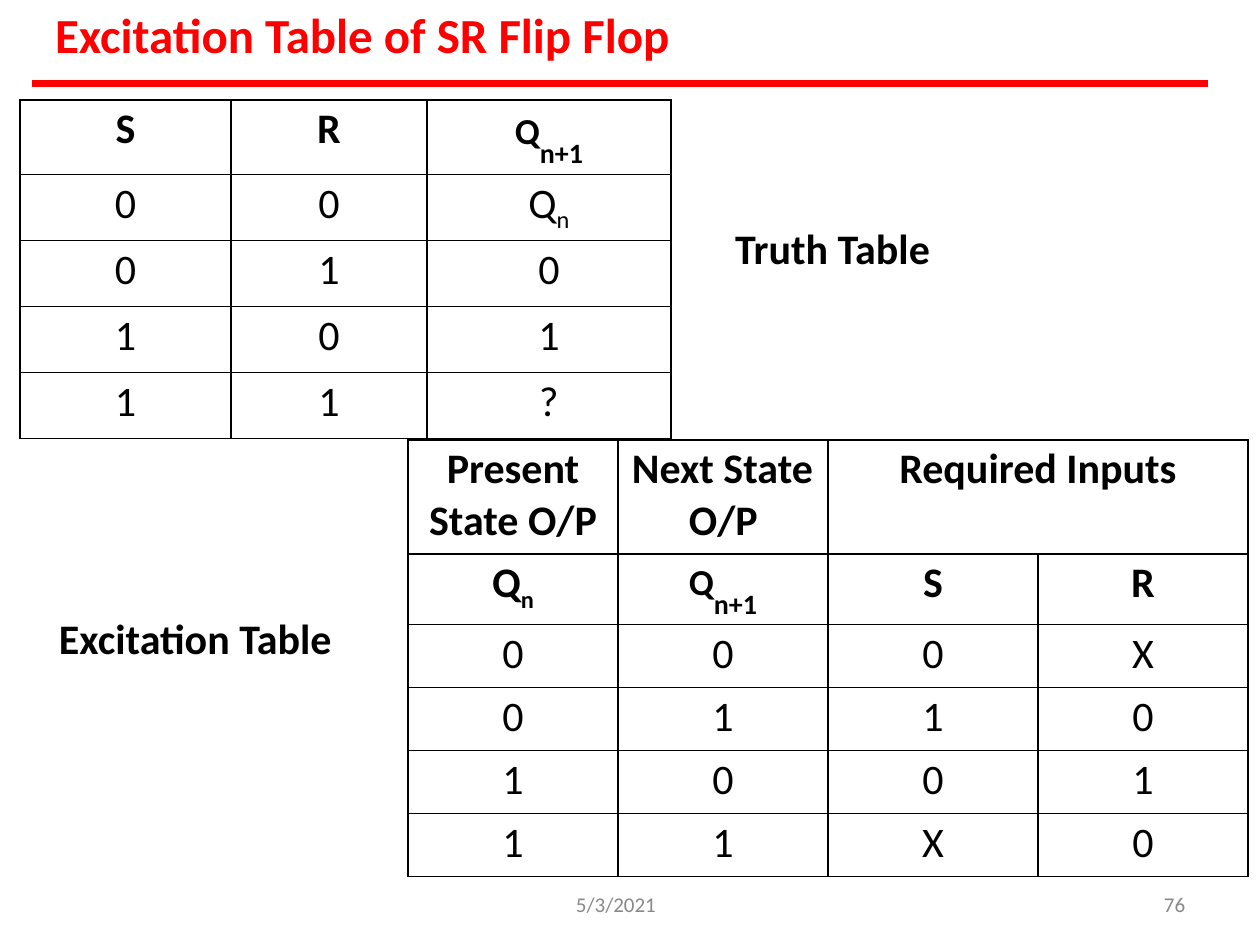
from dataclasses import dataclass

from lxml.etree import SubElement
from pptx import Presentation
from pptx.dml.color import RGBColor
from pptx.enum.shapes import MSO_CONNECTOR
from pptx.enum.text import PP_ALIGN
from pptx.oxml.ns import qn
from pptx.util import Emu, Pt


@dataclass(frozen=True)
class Theme:
    """Colours, font and type sizes of the slide."""
    font: str = "Calibri"
    accent: str = "FF0000"
    ink: str = "000000"
    muted: str = "888888"
    title: int = 28
    body: int = 24
    footer: int = 12
    raised: int = 36
    lowered: int = 16
    rule: int = 4
    border: int = 1


THEME = Theme()
PRESENT = (("Q", THEME.body, 0), ("n", THEME.body, -25))
NEXT = (("Q", THEME.raised, 30), ("n+1", THEME.lowered, 0))


def px(length):
    """Turn whole pixels into EMU."""
    return Emu(round(length * 914400 / 126))


def write(frame, content, size=THEME.body, color=THEME.ink, bold=False,
          align=PP_ALIGN.LEFT, spacing=None, margin=0, indent=0):
    """Write a string, or (text, size, baseline) spans, as one paragraph."""
    spans = ((content, size, 0),) if isinstance(content, str) else content
    frame.word_wrap = True
    para = frame.paragraphs[0]
    para.alignment = align
    if spacing:
        para.line_spacing = spacing
    if margin:
        properties = para._p.get_or_add_pPr()
        properties.set("marL", str(px(margin)))
        properties.set("indent", str(px(indent)))
    for text, points, baseline in spans:
        span = para.add_run()
        span.text = text
        span.font.name = THEME.font
        span.font.size = Pt(points)
        span.font.bold = bold
        span.font.color.rgb = RGBColor.from_string(color)
        if baseline:
            span.font._element.set("baseline", str(baseline * 1000))


def add_label(page, box, content, top=1, **style):
    """Place a text box with tight margins."""
    frame = page.shapes.add_textbox(*map(px, box)).text_frame
    frame.margin_left = frame.margin_right = frame.margin_bottom = 0
    frame.margin_top = px(top)
    write(frame, content, **style)


def add_heading(page, box, content):
    """Place the title and the rule beneath it."""
    left, top, width, height = box
    add_label(page, (left + 23, top, width - 46, 63), content,
              size=THEME.title, color=THEME.accent, bold=True)
    rule = page.shapes.add_connector(
        MSO_CONNECTOR.STRAIGHT, px(left), px(top + height),
        px(left + width), px(top + height))
    rule.line.color.rgb = RGBColor.from_string(THEME.accent)
    rule.line.width = Pt(THEME.rule)
    SubElement(rule._element.spPr, qn("a:effectLst"))


def outline(cell):
    """Give a cell no fill and a border on all sides."""
    properties = cell._tc.get_or_add_tcPr()
    for side in ("a:lnL", "a:lnR", "a:lnT", "a:lnB"):
        line = SubElement(properties, qn(side), w=str(Pt(THEME.border)))
        fill = SubElement(line, qn("a:solidFill"))
        SubElement(fill, qn("a:srgbClr"), val=THEME.ink)
    cell.fill.background()


def add_grid(page, left, top, columns, heights, rows, headers, styles):
    """Place a bordered table; styles holds extra formats by (row, column)."""
    table = page.shapes.add_table(
        len(rows), len(columns), px(left), px(top),
        px(sum(columns)), px(sum(heights))).table
    table.first_row = table.horz_banding = False
    for column, width in zip(table.columns, columns):
        column.width = px(width)
    for row, height in zip(table.rows, heights):
        row.height = px(height)
    for r, values in enumerate(rows):
        for c, content in enumerate(values):
            cell = table.cell(r, c)
            outline(cell)
            cell.margin_left = cell.margin_right = cell.margin_bottom = 0
            cell.margin_top = px(14 if content is NEXT else 4)
            if content:
                style = {"align": PP_ALIGN.CENTER, **styles.get((r, c), {})}
                write(cell.text_frame, content, bold=r < headers, **style)
    return table


def add_truth_table(page, left, top):
    """Place the truth table and its caption on the right."""
    rows = [("S", "R", NEXT), ("0", "0", PRESENT), *map(tuple, ("010", "101", "11?"))]
    add_grid(page, left, top, (211, 196, 244), (74, 66, 66, 66, 66), rows,
             headers=1, styles={(0, 2): {"spacing": 0.8}})
    add_label(page, (left + 715, top + 122, 210, 54), "Truth Table", bold=True)


def add_excitation_table(page, left, top):
    """Place the excitation table and its caption on the left."""
    rows = [("Present State O/P", "Next State O/P", "Required Inputs", ""),
            (PRESENT, NEXT, "S", "R"), *map(tuple, ("000X", "0110", "1001", "11X0"))]
    styles = {(0, 1): {"align": PP_ALIGN.LEFT, "margin": 71, "indent": -57},
              (1, 1): {"spacing": 0.75}}
    table = add_grid(page, left, top, (210,) * 4, (114, 70, 63, 63, 63, 63),
                     rows, headers=2, styles=styles)
    table.cell(0, 2).merge(table.cell(0, 3))
    add_label(page, (left - 349, top + 171, 290, 54), "Excitation Table", bold=True)


def add_footer(page, box):
    """Place the date and the page number."""
    left, top, width, height = box
    for x, room, content in ((0, 111, "5/3/2021"), (width - 28, 28, "76")):
        add_label(page, (left + x, top, room, height), content, top=0,
                  size=THEME.footer, color=THEME.muted, spacing=1.03)


def main():
    """Build the slide and save the deck."""
    deck = Presentation()
    deck.slide_width, deck.slide_height = px(1260), px(945)
    page = deck.slides.add_slide(deck.slide_layouts[6])
    add_heading(page, (32, 4, 1176, 80), "Excitation Table of SR Flip Flop")
    add_truth_table(page, 20, 100)
    add_excitation_table(page, 408, 440)
    add_footer(page, (576, 891, 616, 24))
    deck.save("out.pptx")


if __name__ == "__main__":
    main()
